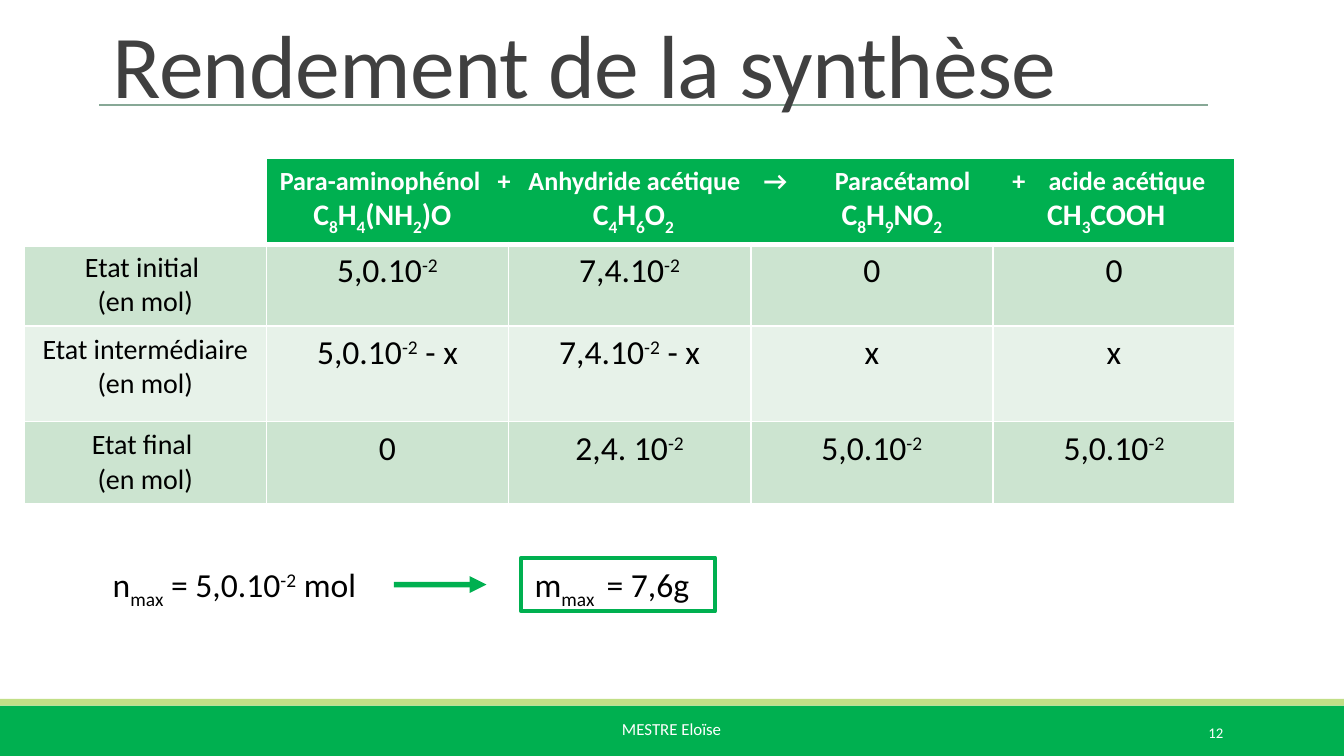
from dataclasses import dataclass

import pptx
import pptx.dml.color
import pptx.enum.shapes
import pptx.enum.text
import pptx.oxml.ns
import pptx.util

Inches = pptx.util.Inches
Pt = pptx.util.Pt
ALIGN = pptx.enum.text.PP_ALIGN
ANCHOR = pptx.enum.text.MSO_ANCHOR
SHAPES = pptx.enum.shapes.MSO_SHAPE
STRAIGHT = pptx.enum.shapes.MSO_CONNECTOR.STRAIGHT


@dataclass(frozen=True)
class Theme:
    font: str = "Calibri"
    green: str = "00B050"
    lime: str = "C1DF87"
    rule: str = "87A896"
    band_dark: str = "CCE4D0"
    band_light: str = "E7F2E9"
    white: str = "FFFFFF"
    black: str = "000000"
    heading: str = "404040"
    title_size: float = 48
    body_size: float = 18
    formula_size: float = 16
    label_size: float = 15
    name_size: float = 14
    footer_size: float = 9
    number_size: float = 7.9


THEME = Theme()

STATES = [
    (["Etat initial ", "(en mol)"], ["5,0.10|-2|", "7,4.10|-2|", "0", "0"]),
    (["Etat intermédiaire", "(en mol)"],
     ["5,0.10|-2| - x", "7,4.10|-2| - x", "x", "x"]),
    (["Etat final ", "(en mol)"],
     ["0", "2,4. 10|-2|", "5,0.10|-2|", "5,0.10|-2|"]),
]
NAMES = "Para-aminophénol\t+\tAnhydride acétique\t→\tParacétamol\t+\tacide acétique"
NAME_TABS = [1.62, 1.85, 3.6, 4.13, 5.45, 5.72]
FORMULAS = "\tC|8|H|4|(NH|2|)O\tC|4|H|6|O|2|\tC|8|H|9|NO|2|\tCH|3|COOH"
FORMULA_TABS = [0.25, 2.33, 4.18, 5.71]


def rgb(color):
    return pptx.dml.color.RGBColor.from_string(color)


def add_xml(parent, tag, **attributes):
    child = parent.makeelement(pptx.oxml.ns.qn(tag), attributes)
    parent.append(child)
    return child


def write_paragraph(para, text, size, color=THEME.black, bold=False,
                    align=ALIGN.LEFT, tabs=()):
    """Write text in which |...| marks an index, or an exponent if it is negative."""
    para.alignment = align
    if tabs:
        tab_list = add_xml(para._p.get_or_add_pPr(), "a:tabLst")
        for stop in tabs:
            add_xml(tab_list, "a:tab", pos=str(Inches(stop)), algn="l")
    for index, piece in enumerate(text.split("|")):
        if not piece:
            continue
        span = para.add_run()
        span.text = piece
        looks = {"name": THEME.font, "size": Pt(size), "bold": bold}
        for name, value in looks.items():
            setattr(span.font, name, value)
        span.font.color.rgb = rgb(color)
        if index % 2:
            shift = 30000 if piece.startswith("-") else -25000
            span._r.get_or_add_rPr().set("baseline", str(shift))


def add_text(page, place, text, size, color=THEME.black, align=ALIGN.LEFT,
             anchor=ANCHOR.TOP, wrap=True):
    box = page.shapes.add_textbox(*map(Inches, place))
    frame = box.text_frame
    frame.word_wrap = wrap
    frame.vertical_anchor = anchor
    write_paragraph(frame.paragraphs[0], text, size, color, align=align)
    return box


def add_bar(page, place, color):
    bar = page.shapes.add_shape(SHAPES.RECTANGLE, *map(Inches, place))
    bar.shadow.inherit = False
    bar.fill.solid()
    bar.fill.fore_color.rgb = rgb(color)
    bar.line.fill.background()


def add_line(page, start, end, color, width):
    line = page.shapes.add_connector(STRAIGHT, *map(Inches, start + end))
    line.line.color.rgb = rgb(color)
    line.line.width = Pt(width)
    add_xml(line._element.spPr, "a:effectLst")
    return line


def style_cell(cell, color, top=1, bottom=1):
    """Give a cell white borders and a fill; borders come first in the XML."""
    properties = cell._tc.get_or_add_tcPr()
    for side, width in {"L": 1, "R": 1, "T": top, "B": bottom}.items():
        border = add_xml(properties, f"a:ln{side}", w=str(Pt(width)))
        fill = add_xml(border, "a:solidFill")
        add_xml(fill, "a:srgbClr", val=THEME.white)
    cell.fill.solid()
    cell.fill.fore_color.rgb = rgb(color)


def write_cell(cell, lines, size):
    frame = cell.text_frame
    for index, line in enumerate(lines):
        para = frame.add_paragraph() if index else frame.paragraphs[0]
        write_paragraph(para, line, size, align=ALIGN.CENTER)


def add_progress_table(page):
    heights = [0.63, 0.61, 0.71, 0.61]
    place = map(Inches, (0.18, 1.18, 9.01, sum(heights)))
    table = page.shapes.add_table(4, 5, *place).table
    table.first_row = table.horz_banding = False
    for column in table.columns:
        column.width = Inches(9.01 / 5)
    for row, height in zip(table.rows, heights):
        row.height = Inches(height)

    for column in range(5):
        style_cell(table.cell(0, column),
                   THEME.green if column else THEME.white, bottom=3)
    equation = table.cell(0, 1)
    equation.merge(table.cell(0, 4))
    frame = equation.text_frame
    write_paragraph(frame.paragraphs[0], NAMES, THEME.name_size, THEME.white,
                    True, tabs=NAME_TABS)
    write_paragraph(frame.add_paragraph(), FORMULAS, THEME.formula_size,
                    THEME.white, True, tabs=FORMULA_TABS)

    for row, (label, amounts) in enumerate(STATES, 1):
        band = THEME.band_dark if row % 2 else THEME.band_light
        for column, lines in enumerate([label] + [[text] for text in amounts]):
            cell = table.cell(row, column)
            style_cell(cell, band, top=3 if row == 1 else 1)
            write_cell(cell, lines,
                       THEME.body_size if column else THEME.label_size)


def add_title(page):
    title = add_text(page, (0.74, 0.16, 8.25, 0.76), "Rendement de la synthèse",
                     THEME.title_size, THEME.heading, anchor=ANCHOR.BOTTOM)
    para = title.text_frame.paragraphs[0]
    para.line_spacing = 0.85
    para.runs[0]._r.get_or_add_rPr().set("spc", "-40")


def add_result(page):
    amount = add_text(page, (0.74, 4.15, 2.19, 0.4),
                      "n|max| = 5,0.10|-2| mol", THEME.body_size)
    arrow = add_line(page, (2.93, 4.35), (3.62, 4.35), THEME.green, 3)
    arrow.begin_connect(amount, 3)
    add_xml(arrow.line._get_or_add_ln(), "a:tailEnd", type="triangle")
    mass = add_text(page, (3.88, 4.15, 1.44, 0.4),
                    "m|max | = 7,6g", THEME.body_size)
    mass.line.color.rgb = rgb(THEME.green)
    mass.line.width = Pt(2.25)


def main():
    deck = pptx.Presentation()
    deck.slide_width = Inches(10)
    deck.slide_height = deck.slide_width * 9 // 16
    page = deck.slides.add_slide(deck.slide_layouts[6])
    add_bar(page, (0, 5.25, 10, 0.38), THEME.green)
    add_bar(page, (0, 5.2, 10, 0.05), THEME.lime)
    add_line(page, (0.74, 0.78), (8.99, 0.78), THEME.rule, 1)
    add_text(page, (4.53, 5.3, 0.94, 0.45), "MESTRE Eloïse",
             THEME.footer_size, THEME.white, wrap=False)
    add_text(page, (8.12, 5.3, 1.08, 0.3), "12", THEME.number_size,
             THEME.white, ALIGN.RIGHT, ANCHOR.MIDDLE)
    add_title(page)
    add_progress_table(page)
    add_result(page)
    deck.save("out.pptx")


if __name__ == "__main__":
    main()
